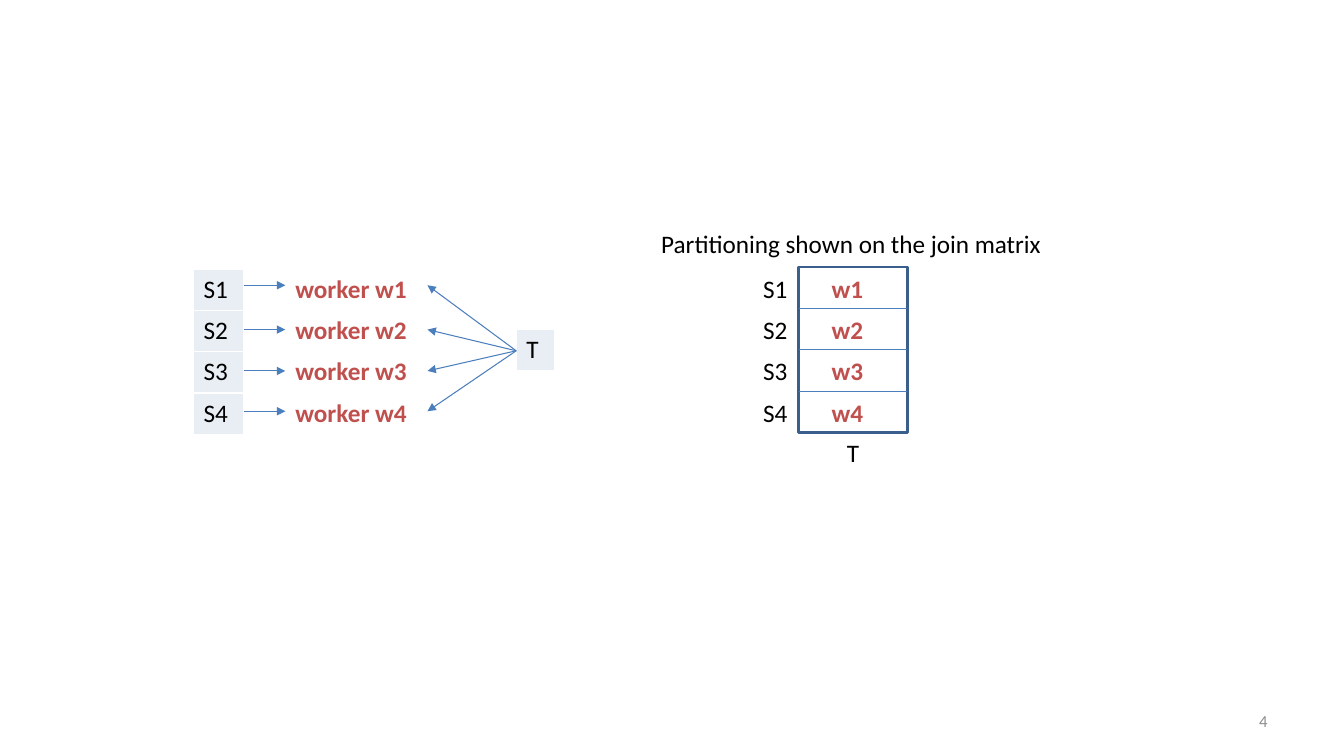
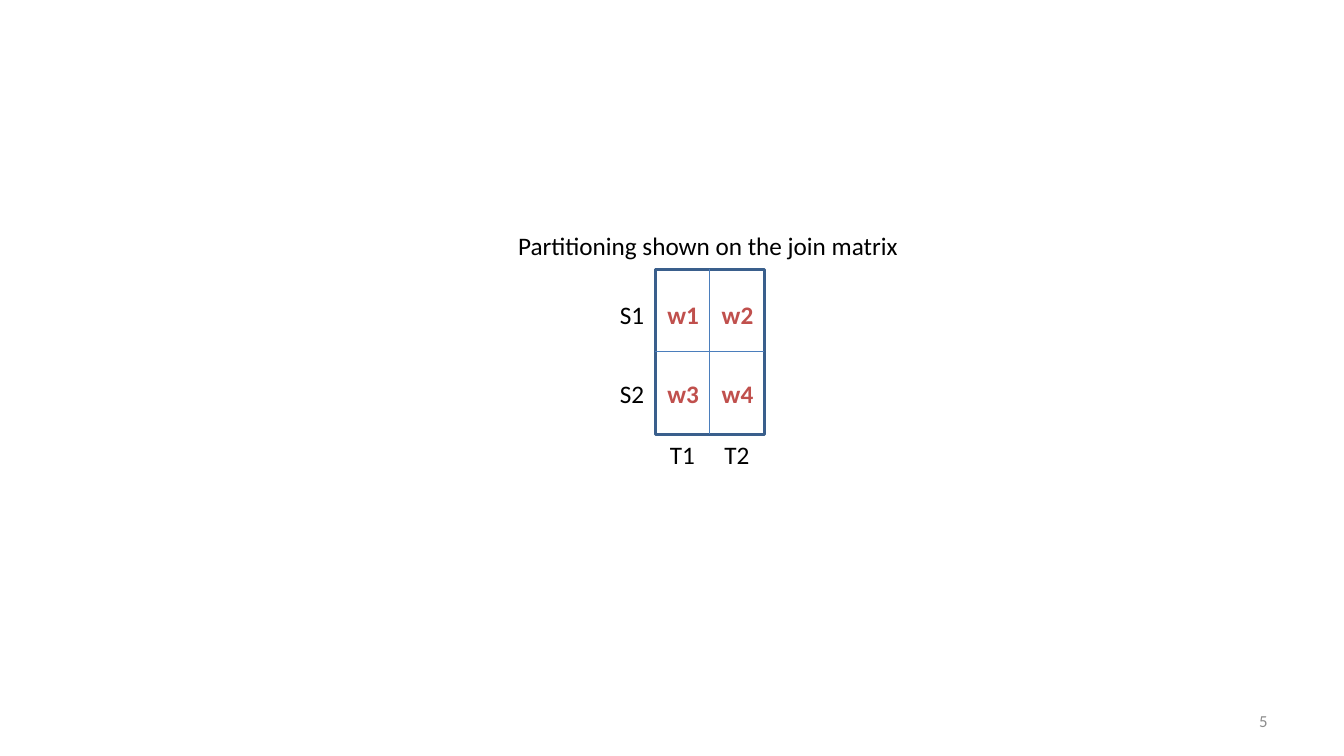
from lxml import etree
from pptx import Presentation
from pptx import util as u
from pptx.dml.color import RGBColor
from pptx.enum import shapes, text
from pptx.oxml import ns

FONT = "Calibri"
BLACK = RGBColor(0x00, 0x00, 0x00)
GRAY = RGBColor(0x8C, 0x8C, 0x8C)
RED = RGBColor(0xC0, 0x50, 0x4D)
PALE = RGBColor(0xE9, 0xED, 0xF4)
BLUE = RGBColor(0x4B, 0x7E, 0xBC)
NAVY = RGBColor(0x3A, 0x5F, 0x8C)
ROW = 0.41
LABEL_H = 0.4
CAPTION = "Partitioning shown on the join matrix"


def write(frame, words, size=18, color=BLACK, bold=False,
          align=text.PP_ALIGN.LEFT):
    """Put one formatted run of text in a text frame."""
    para = frame.paragraphs[0]
    para.alignment = align
    run = para.add_run()
    run.text = words
    run.font.name = FONT
    run.font.size = u.Pt(size)
    run.font.bold = bold
    run.font.color.rgb = color


def label(slide, words, x, y, width, wrap=False,
          anchor=text.MSO_ANCHOR.TOP, **form):
    """Add a text box of one line."""
    box = slide.shapes.add_textbox(u.Inches(x), u.Inches(y),
                                   u.Inches(width), u.Inches(LABEL_H))
    box.text_frame.word_wrap = wrap
    box.text_frame.vertical_anchor = anchor
    write(box.text_frame, words, **form)


def line(slide, x1, y1, x2, y2, arrow=False):
    """Draw a thin line, with an arrowhead at its end if asked."""
    link = slide.shapes.add_connector(
        shapes.MSO_CONNECTOR.STRAIGHT,
        u.Inches(x1), u.Inches(y1), u.Inches(x2), u.Inches(y2))
    link.line.color.rgb = BLUE
    link.line.width = u.Pt(0.75)
    if arrow:
        head = etree.SubElement(link.line._get_or_add_ln(), ns.qn("a:tailEnd"))
        head.set("type", "triangle")
    etree.SubElement(link._element.spPr, ns.qn("a:effectLst"))


def edge(cell):
    """Give a table cell white borders."""
    props = cell._tc.get_or_add_tcPr()
    for side in ("a:lnL", "a:lnR", "a:lnT", "a:lnB"):
        ln = etree.SubElement(props, ns.qn(side), w=str(u.Pt(1)))
        fill = etree.SubElement(ln, ns.qn("a:solidFill"))
        etree.SubElement(fill, ns.qn("a:srgbClr"), val="FFFFFF")


def stack(slide, names, x, y, width, fill=None, **form):
    """Add a table of one column."""
    table = slide.shapes.add_table(
        len(names), 1, u.Inches(x), u.Inches(y),
        u.Inches(width), u.Inches(ROW * len(names))).table
    table.first_row = table.horz_banding = False
    for i, name in enumerate(names):
        cell = table.cell(i, 0)
        if fill is None:
            cell.fill.background()
        else:
            edge(cell)
            cell.fill.solid()
            cell.fill.fore_color.rgb = fill
        write(cell.text_frame, name, **form)


def flow(slide, x, y):
    """Draw the parts of S and the whole of T going to the workers."""
    stack(slide, [f"S{i}" for i in range(1, 5)], x, y, 0.5, fill=PALE)
    stack(slide, ["T"], x + 3.2, y + 0.6, 0.38, fill=PALE)
    stack(slide, [f"worker w{i}" for i in range(1, 5)], x + 0.91, y, 1.32,
          color=RED, bold=True)
    for drop in (0.16, 0.6, 1.01, 1.41):
        line(slide, x + 0.5, y + drop, x + 0.91, y + drop, arrow=True)
        line(slide, x + 3.2, y + 0.81, x + 2.32, y + drop, arrow=True)


def matrix(slide, x, y, rows, cols, lead, step, inset, foot):
    """Draw a join matrix with its caption, row and column names."""
    width, height = 1.08, 1.64
    wide, high = width / len(cols), height / len(rows)
    frame = slide.shapes.add_shape(
        shapes.MSO_SHAPE.RECTANGLE, u.Inches(x), u.Inches(y),
        u.Inches(width), u.Inches(height))
    frame.shadow.inherit = False
    frame.fill.background()
    frame.line.color.rgb = NAVY
    frame.line.width = u.Pt(2)
    for i in range(1, len(rows)):
        line(slide, x, y + i * high, x + width, y + i * high)
    for j in range(1, len(cols)):
        line(slide, x + j * wide, y, x + j * wide, y + height)
    for i, row in enumerate(rows):
        top = y + lead + i * step
        label(slide, row, x - 0.45, top, 0.45)
        for j in range(len(cols)):
            label(slide, f"w{i * len(cols) + j + 1}", x + inset + j * wide,
                  top, 0.52, color=RED, bold=True)
    for j, col in enumerate(cols):
        label(slide, col, x + j * wide + (wide - foot) / 2, y + height,
              foot)
    label(slide, CAPTION, x - 1.46, y - 0.43, 4, wrap=True)


def page(deck, number):
    """Add a blank slide with its number."""
    slide = deck.slides.add_slide(deck.slide_layouts[6])
    label(slide, str(number), 9.56, 6.95, 3.11, wrap=True, size=12,
          color=GRAY, align=text.PP_ALIGN.RIGHT,
          anchor=text.MSO_ANCHOR.MIDDLE)
    return slide


def main():
    """Build and save both slides."""
    deck = Presentation()
    deck.slide_width, deck.slide_height = u.Inches(13.33), u.Inches(7.5)
    slide = page(deck, 4)
    flow(slide, 1.92, 2.67)
    matrix(slide, 7.92, 2.65, ["S1", "S2", "S3", "S4"], ["T"],
           lead=0.01, step=0.41, inset=0.23, foot=0.32)
    slide = page(deck, 5)
    matrix(slide, 6.5, 2.67, ["S1", "S2"], ["T1", "T2"],
           lead=0.25, step=0.78, inset=0.02, foot=0.45)
    deck.save("out.pptx")


if __name__ == "__main__":
    main()
